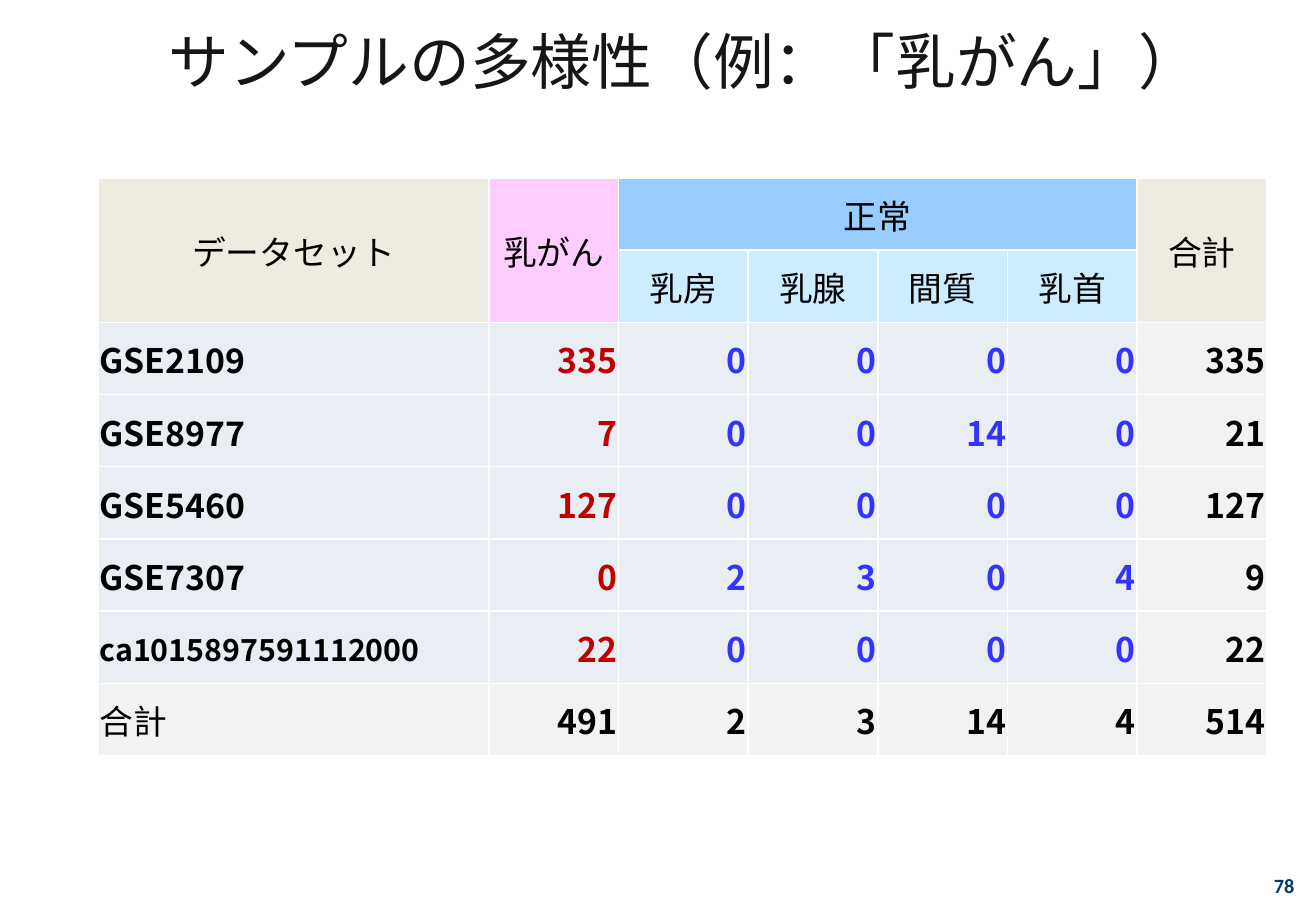
"""Build the slide on sample diversity in breast cancer data sets."""
from lxml.etree import SubElement
from pptx import Presentation
from pptx.dml.color import RGBColor
from pptx.enum.text import MSO_ANCHOR as Anchor, PP_ALIGN as Align
from pptx.oxml.ns import qn
from pptx.util import Cm, Pt

JAPANESE = "Noto Sans CJK JP"
HEADINGS = [
    ["データセット", "乳がん", "正常", "", "", "", "合計"],
    ["", "", "乳房", "乳腺", "間質", "乳首", ""],
]
HEADING_FILLS = [
    ["EEECE1", "FFCCFF"] + ["99CCFF"] * 4 + ["EEECE1"],
    ["EEECE1", "FFCCFF"] + ["CCECFF"] * 4 + ["EEECE1"],
]
SAMPLES = {
    "GSE2109": [335, 0, 0, 0, 0],
    "GSE8977": [7, 0, 0, 14, 0],
    "GSE5460": [127, 0, 0, 0, 0],
    "GSE7307": [0, 2, 3, 0, 4],
    "ca1015897591112000": [22, 0, 0, 0, 0],
}
SAMPLE_COLORS = ["000000", "C00000"] + ["3333FF"] * 4 + ["000000"]
MERGES = [(0, 0, 1, 0), (0, 1, 1, 1), (0, 2, 0, 5), (0, 6, 1, 6)]


def rgb(value):
    return RGBColor.from_string(value)


def write(frame, text, align, color, **formats):
    para = frame.paragraphs[0]
    para.alignment = align
    span = para.add_run()
    span.text = text
    span.font.color.rgb = rgb(color)
    for name, value in formats.items():
        setattr(span.font, name, value)
    SubElement(span.font._element, qn("a:ea"), typeface=formats["name"])


deck = Presentation()
deck.slide_width, deck.slide_height = Cm(27.51), Cm(19.05)
page = deck.slides.add_slide(deck.slide_layouts[5])

title = page.shapes.title
title.left, title.top, title.width, title.height = Cm(2.13), Cm(0), Cm(24.33), Cm(2.51)
title.text_frame.vertical_anchor = Anchor.MIDDLE
write(title.text_frame, "サンプルの多様性（例：「乳がん」）", Align.CENTER, "161616",
      name=JAPANESE, size=Pt(36), bold=False)

number = page.shapes.add_textbox(Cm(26.09), Cm(18.01), Cm(1.22), Cm(1.02)).text_frame
number.word_wrap = True
number.vertical_anchor = Anchor.MIDDLE
write(number, "78", Align.RIGHT, "003A6F", name="Calibri", size=Pt(12), bold=True)

rows = HEADINGS + [[name, *counts, sum(counts)] for name, counts in SAMPLES.items()]
totals = [sum(column) for column in zip(*SAMPLES.values())]
rows.append(["合計", *totals, sum(totals)])
last_row, last_column = len(rows) - 1, len(rows[0]) - 1

table = page.shapes.add_table(len(rows), len(rows[0]), Cm(2.05), Cm(3.72),
                              Cm(24.43), Cm(12.08)).table
for index, column in enumerate(table.columns):
    column.width = Cm(2.71 if index else 8.17)
for row in table.rows:
    row.height = Cm(1.51)
for top, left, bottom, right in MERGES:
    table.cell(top, left).merge(table.cell(bottom, right))

cell_formats = {
    "vertical_anchor": Anchor.MIDDLE, "margin_left": Cm(0.03), "margin_right": Cm(0.03),
    "margin_top": Cm(0.03), "margin_bottom": Cm(0),
}
for r, values in enumerate(rows):
    for c, value in enumerate(values):
        heading = r < len(HEADINGS)
        total = r == last_row or c == last_column
        cell = table.cell(r, c)
        for name, setting in cell_formats.items():
            setattr(cell, name, setting)
        for side in ("lnL", "lnR", "lnT", "lnB"):
            border = SubElement(cell._tc.tcPr, qn(f"a:{side}"), w=str(Pt(1)))
            SubElement(SubElement(border, qn("a:solidFill")), qn("a:srgbClr"), val="FFFFFF")
        cell.fill.solid()
        fill = HEADING_FILLS[r][c] if heading else "F2F2F2" if total else "E9EDF4"
        cell.fill.fore_color.rgb = rgb(fill)
        if value == "":
            continue
        align = Align.CENTER if heading else Align.RIGHT if c else Align.LEFT
        write(cell.text_frame, str(value), align,
              "000000" if heading or total else SAMPLE_COLORS[c], name=JAPANESE,
              size=Pt(18 if value == "ca1015897591112000" else 20),
              bold=not heading and value != "合計")

deck.save("out.pptx")
